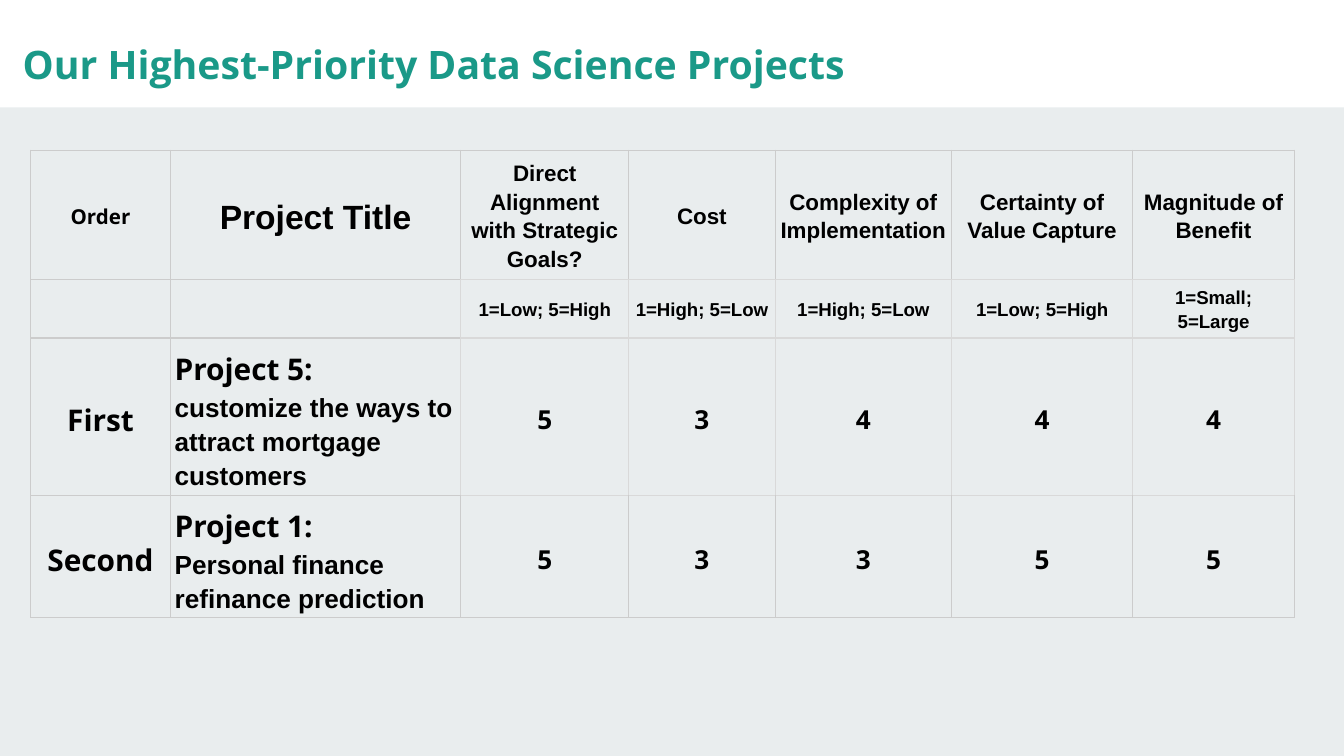
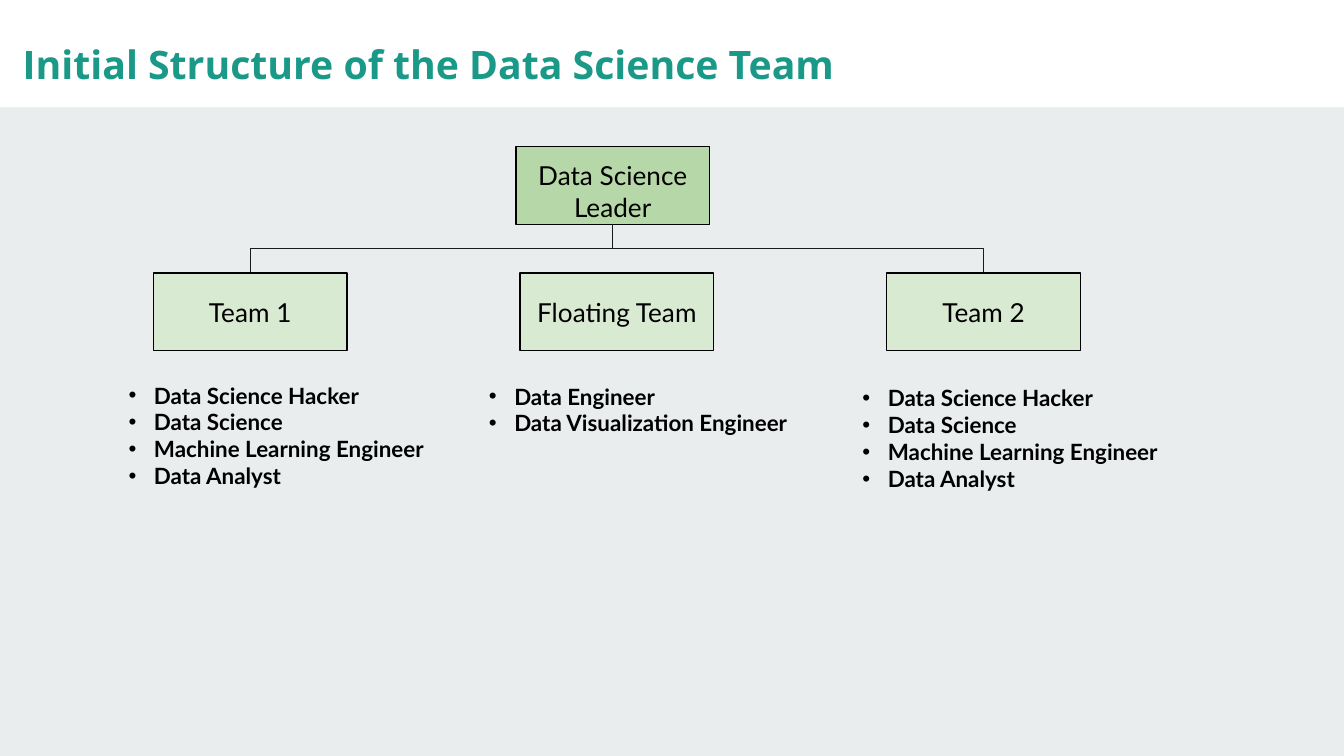
from pptx import Presentation
from pptx.dml.color import RGBColor
from pptx.enum.shapes import MSO_CONNECTOR, MSO_SHAPE
from pptx.enum.text import MSO_ANCHOR, MSO_AUTO_SIZE, PP_ALIGN
from pptx.oxml.ns import qn
from pptx.util import Cm, Pt
from lxml.etree import SubElement

HUES = {
    "page": "E9EDEE", "band": "FFFFFF", "title": "1A9988", "ink": "000000",
    "lead": "B6D7A8", "team": "D9EAD3", "link": "1A1A1A",
    "grid": "CCCCCC", "pale": "D9D9D9",
}


def font(name, size, bold=True):
    return {"name": name, "size": Pt(size), "bold": bold}


FONTS = {
    "title": font("Open Sans", 21),
    "order": font("Open Sans", 11),
    "name": font("Arial", 18),
    "head": font("Arial", 12),
    "scale": font("Arial", 10),
    "rank": font("Open Sans", 16),
    "goal": font("Arial", 14),
    "score": font("Open Sans", 14),
    "box": font("Lato", 14, False),
    "list": font("Lato", 12),
}
MID = {"alignment": PP_ALIGN.CENTER}
LOOSE = {"line_spacing": 1.15}


def hue(key):
    return RGBColor.from_string(HUES[key])


def apply(item, values):
    for key, value in values.items():
        setattr(item, key, value)


def pads(side, top):
    return {"margin_left": Cm(side), "margin_right": Cm(side),
            "margin_top": Cm(top), "margin_bottom": Cm(top)}


class Deck:
    def __init__(self):
        self.show = Presentation()
        apply(self.show, {"slide_width": Cm(25.4), "slide_height": Cm(14.29)})
        fill = self.show.slide_master.background.fill
        fill.solid()
        fill.fore_color.rgb = hue("page")
        self.slide = None

    def page(self, title):
        self.slide = self.show.slides.add_slide(self.show.slide_layouts[6])
        self.rect(0, 0, 25.4, 2.03, "band")
        frame = self.text(0.18, 0.38, 21.44, 0.94, pads(0.25, 0.25))
        self.put(frame, [(title, "title")], LOOSE, "title")

    def put(self, frame, lines, form, ink="ink"):
        for i, (words, look) in enumerate(lines):
            para = frame.add_paragraph() if i else frame.paragraphs[0]
            apply(para, form)
            run = para.add_run()
            run.text = words
            apply(run.font, FONTS[look])
            run.font.color.rgb = hue(ink)

    def text(self, x, y, w, h, form):
        frame = self.slide.shapes.add_textbox(Cm(x), Cm(y), Cm(w), Cm(h)).text_frame
        apply(frame, {"word_wrap": True, **form})
        return frame

    def rect(self, x, y, w, h, fill, line=None):
        shape = self.slide.shapes.add_shape(MSO_SHAPE.RECTANGLE, Cm(x), Cm(y), Cm(w), Cm(h))
        shape.shadow.inherit = False
        shape.fill.solid()
        shape.fill.fore_color.rgb = hue(fill)
        if line:
            shape.line.color.rgb = hue(line)
            shape.line.width = Pt(0.75)
        else:
            shape.line.fill.background()
        return shape

    def box(self, x, y, w, h, words, fill, anchor=MSO_ANCHOR.MIDDLE):
        frame = self.rect(x, y, w, h, fill, "ink").text_frame
        apply(frame, {"word_wrap": True, "vertical_anchor": anchor, **pads(0.25, 0.25)})
        self.put(frame, [(words, "box")], MID)

    def elbow(self, x1, y1, x2, y2):
        x, y = (x1 + x2) / 2, (y1 + y2) / 2
        run, drop = abs(x2 - x1) / 2, (y2 - y1) / 2
        link = self.slide.shapes.add_connector(
            MSO_CONNECTOR.ELBOW, Cm(x - drop), Cm(y - run), Cm(x + drop), Cm(y + run))
        link.line.color.rgb = hue("link")
        link.line.width = Pt(0.75)
        props = link._element.spPr
        props.find(qn("a:xfrm")).set("rot", "5400000")
        SubElement(props, qn("a:effectLst"))

    def list(self, x, y, w, h, items):
        frame = self.text(x, y, w, h, {"auto_size": MSO_AUTO_SIZE.SHAPE_TO_FIT_TEXT})
        self.put(frame, [(item, "list") for item in items], {})
        for para in frame.paragraphs:
            props = para._p.get_or_add_pPr()
            props.set("marL", str(Cm(0.48)))
            props.set("indent", str(-Cm(0.48)))
            tint = SubElement(props, qn("a:buClr"))
            SubElement(tint, qn("a:srgbClr"), val=HUES["ink"])
            SubElement(props, qn("a:buFont"), typeface="Arial")
            SubElement(props, qn("a:buChar"), char="•")

    def edge(self, cell, hues):
        props = cell._tc.get_or_add_tcPr()
        for side, key in zip("LRTB", hues):
            line = SubElement(props, qn("a:ln" + side), w=str(Pt(0.75)))
            fill = SubElement(line, qn("a:solidFill"))
            SubElement(fill, qn("a:srgbClr"), val=HUES[key])

    def table(self, x, y, wide, tall, rows):
        grid = self.slide.shapes.add_table(
            len(tall), len(wide), Cm(x), Cm(y), Cm(sum(wide)), Cm(sum(tall))).table
        apply(grid, {"first_row": False, "horz_banding": False})
        for col, w in zip(grid.columns, wide):
            col.width = Cm(w)
        for row, h in zip(grid.rows, tall):
            row.height = Cm(h)

        def inner(r, c):
            return 0 < r < len(tall) - 1 and 1 < c < len(wide)

        for r, row in enumerate(rows):
            for c, lines in enumerate(row):
                cell = grid.cell(r, c)
                near = [(r, c - 1), (r, c + 1), (r - 1, c), (r + 1, c)]
                self.edge(cell, ["pale" if inner(r, c) or inner(*spot) else "grid"
                                 for spot in near])
                cell.fill.background()
                tight = r < 2 and c > 1
                apply(cell, {"vertical_anchor": MSO_ANCHOR.MIDDLE,
                             **pads(0.08, 0.05 if tight else 0.08)})
                self.put(cell.text_frame, lines, LOOSE if len(lines) > 1 else {**LOOSE, **MID})


def cells(look, *words):
    return [[(word, look)] for word in words]


def project(rank, name, goal, scores):
    return [[(rank, "rank")], [(name, "rank"), (goal, "goal")], *cells("score", *scores)]


def main():
    deck = Deck()

    deck.page("Our Highest-Priority Data Science Projects")
    low, high = "1=Low; 5=High", "1=High; 5=Low"
    deck.table(0.58, 2.84, [2.64, 5.49, 3.17, 2.77, 3.33, 3.43, 3.05], [2.29, 1.11, 2.94, 2.31], [
        cells("order", "Order") + cells("name", "Project Title") + cells(
            "head", "Direct Alignment with Strategic Goals?", "Cost",
            "Complexity of Implementation", "Certainty of Value Capture",
            "Magnitude of Benefit"),
        [[], []] + cells("scale", low, high, high, low, "1=Small; 5=Large"),
        project("First", "Project 5:",
                "customize the ways to attract mortgage customers", "53444"),
        project("Second", "Project 1:",
                "Personal finance refinance prediction", "53355"),
    ])

    deck.page("Initial Structure of the Data Science Team")
    wide, tall = 3.66, 1.47
    lead, top, row = 9.75, 2.77, 5.16
    left, step = 2.9, 6.93
    mid, base = lead + wide / 2, top + tall
    deck.box(lead, top, wide, tall, "Data Science Leader", "lead", MSO_ANCHOR.TOP)
    deck.elbow(mid, base, left + wide / 2, row)
    deck.elbow(left + 2 * step + wide / 2, row, mid, base)
    crew = ["Data Science Hacker", "Data Science", "Machine Learning Engineer", "Data Analyst"]
    float_crew = ["Data Engineer", "Data Visualization Engineer"]
    teams = [("Team 1", 2.18, 7.09, 2.31, crew),
             ("Floating Team", 8.99, 7.11, 1.27, float_crew),
             ("Team 2", 16.05, 7.14, 2.31, crew)]
    for i, (name, x, y, h, items) in enumerate(teams):
        deck.box(left + i * step, row, wide, tall, name, "team")
        deck.list(x, y, 6.25, h, items)

    deck.show.save("out.pptx")


if __name__ == "__main__":
    main()
